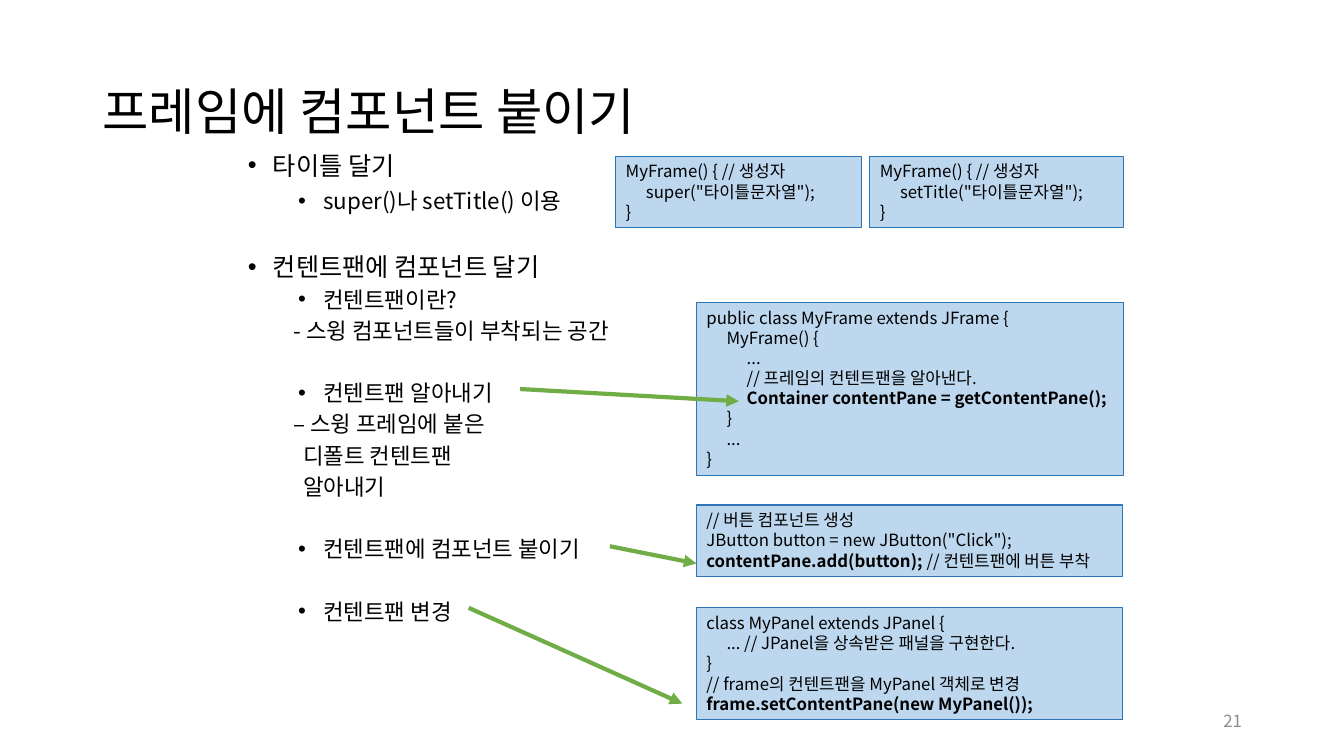
import pptx
import pptx.dml.color
import pptx.enum.shapes
import pptx.enum.text
import pptx.oxml.ns
import pptx.util
from dataclasses import dataclass
from lxml import etree

Pt = pptx.util.Pt
RGB = pptx.dml.color.RGBColor
Anchor = pptx.enum.text.MSO_ANCHOR
Align = pptx.enum.text.PP_ALIGN
qn = pptx.oxml.ns.qn

FONT = "Noto Sans CJK KR"
BLACK = RGB(0, 0, 0)
GRAY = RGB(0x8C, 0x8C, 0x8C)
PALE = RGB(0xBD, 0xD7, 0xEE)
BLUE = RGB(0x2E, 0x75, 0xB6)
GREEN = RGB(0x70, 0xAD, 0x47)
TAB = 14.4  # one step of code indent
SIZE = 12   # code text


@dataclass
class Item:
    text: str
    size: float = 16
    left: float = 90
    hang: float = 18
    before: float = 5
    mark: str = "•"


@dataclass
class Line:
    depth: int
    bold: str = ""
    plain: str = ""


@dataclass
class Code:
    left: float
    top: float
    width: float
    height: float
    lines: list[Line]


@dataclass
class Arrow:
    x1: float
    y1: float
    x2: float
    y2: float


def write(para, text: str, *, size: float, color: RGB = BLACK, bold: bool = False,
          pitch: float = 0, before: float = 0, left: float = 0, hang: float = 0,
          mark: str = "", align=Align.LEFT) -> None:
    """Add a run to a paragraph and set the format of both."""
    run = para.add_run()
    run.text = text
    font = run.font
    font.name, font.size, font.bold = FONT, Pt(size), bold
    font.color.rgb = color
    east = etree.SubElement(font._element, qn("a:ea"))
    east.set("typeface", FONT)
    para.alignment = align
    para.line_spacing = Pt(pitch or size * 1.2)
    para.space_before = Pt(before)
    props = para._p.get_or_add_pPr()
    props.set("marL", str(Pt(left)))
    props.set("indent", str(-Pt(hang)))
    if mark:
        bullet = etree.SubElement(props, qn("a:buFont"))
        bullet.set("typeface", "Arial")
        etree.SubElement(props, qn("a:buChar")).set("char", mark)


def frame(slide, left: float, top: float, width: float, height: float, anchor=Anchor.TOP):
    box = slide.shapes.add_textbox(Pt(left), Pt(top), Pt(width), Pt(height)).text_frame
    box.word_wrap = True
    box.vertical_anchor = anchor
    return box


def paras(box, count: int) -> list:
    return [box.paragraphs[0]] + [box.add_paragraph() for _ in range(count - 1)]


def draw_code(slide, code: Code) -> None:
    shape = slide.shapes.add_shape(
        pptx.enum.shapes.MSO_SHAPE.RECTANGLE,
        Pt(code.left), Pt(code.top), Pt(code.width), Pt(code.height))
    shape.shadow.inherit = False
    shape.fill.solid()
    shape.fill.fore_color.rgb = PALE
    shape.line.color.rgb = BLUE
    shape.line.width = Pt(0.75)
    box = shape.text_frame
    box.word_wrap = True
    box.vertical_anchor = Anchor.TOP
    for para, line in zip(paras(box, len(code.lines)), code.lines):
        for text, bold in ((line.bold, True), (line.plain, False)):
            if text:
                write(para, text, size=SIZE, bold=bold, left=line.depth * TAB)


def draw_arrow(slide, arrow: Arrow) -> None:
    link = slide.shapes.add_connector(
        pptx.enum.shapes.MSO_CONNECTOR.STRAIGHT,
        Pt(arrow.x1), Pt(arrow.y1), Pt(arrow.x2), Pt(arrow.y2))
    link.line.color.rgb = GREEN
    link.line.width = Pt(3)
    etree.SubElement(link.line._get_or_add_ln(), qn("a:tailEnd")).set("type", "triangle")
    etree.SubElement(link._element.spPr, qn("a:effectLst"))


ITEMS = [
    Item("타이틀 달기", size=18, left=54),
    Item("super()나 setTitle() 이용", before=7),
    Item("컨텐트팬에 컴포넌트 달기", size=18, left=54, before=28.5),
    Item("컨텐트팬이란?"),
    Item("- 스윙 컴포넌트들이 부착되는 공간", left=68.5, hang=0, mark=""),
    Item("컨텐트팬 알아내기", before=27.3),
    Item("– 스윙 프레임에 붙은", left=68.5, hang=0, mark=""),
    Item("디폴트 컨텐트팬", left=75.5, hang=0, mark=""),
    Item("알아내기", left=75.5, hang=0, mark=""),
    Item("컨텐트팬에 컴포넌트 붙이기", before=27.3),
    Item("컨텐트팬 변경", before=27.3),
]


def maker(call: str) -> list[Line]:
    return [Line(0, plain="MyFrame() { // 생성자"),
            Line(1, plain=f'{call}("타이틀문자열");'),
            Line(0, plain="}")]


CODES = [
    Code(497.5, 216, 305.3, 123.8, [
        Line(0, plain="public class MyFrame extends JFrame {"),
        Line(1, plain="MyFrame() {"),
        Line(2, plain="..."),
        Line(2, plain="// 프레임의 컨텐트팬을 알아낸다."),
        Line(2, bold="Container contentPane = getContentPane();"),
        Line(1, plain="}"),
        Line(1, plain="..."),
        Line(0, plain="}")]),
    Code(497.5, 434.2, 304.6, 80, [
        Line(0, plain="class MyPanel extends JPanel {"),
        Line(1, plain="... // JPanel을 상속받은 패널을 구현한다."),
        Line(0, plain="}"),
        Line(0, plain="// frame의 컨텐트팬을 MyPanel 객체로 변경"),
        Line(0, bold="frame.setContentPane(new MyPanel());")]),
    Code(439.9, 111.6, 175.7, 51.1, maker("super")),
    Code(497.5, 360.7, 304.6, 51.1, [
        Line(0, plain="// 버튼 컴포넌트 생성"),
        Line(0, plain='JButton button = new JButton("Click");'),
        Line(0, bold="contentPane.add(button); ", plain="// 컨텐트팬에 버튼 부착")]),
    Code(621.4, 111.6, 181.4, 51.1, maker("setTitle")),
]

ARROWS = [
    Arrow(371.5, 277.9, 527.8, 286.6),
    Arrow(435.6, 390.2, 497.5, 402.5),
    Arrow(334.8, 434.2, 487.4, 502.6),
]


def main() -> None:
    deck = pptx.Presentation()
    deck.slide_width, deck.slide_height = Pt(960), Pt(540)
    slide = deck.slides.add_slide(deck.slide_layouts[6])

    # Title
    title = frame(slide, 66.2, 28.8, 828, 104.4, Anchor.MIDDLE)
    write(title.paragraphs[0], "프레임에 컴포넌트 붙이기", size=36, pitch=38.9)

    # Outline
    body = frame(slide, 133.9, 105.8, 642.2, 396.7)
    for para, item in zip(paras(body, len(ITEMS)), ITEMS):
        write(para, item.text, size=item.size, pitch=item.size * 1.08,
              before=item.before, left=item.left, hang=item.hang, mark=item.mark)

    # Slide number
    number = frame(slide, 678.2, 500.4, 216, 28.8, Anchor.MIDDLE)
    write(number.paragraphs[0], "21", size=12, color=GRAY, align=Align.RIGHT)

    # Code boxes and the arrows to them
    for code in CODES:
        draw_code(slide, code)
    for arrow in ARROWS:
        draw_arrow(slide, arrow)

    deck.save("out.pptx")


if __name__ == "__main__":
    main()
